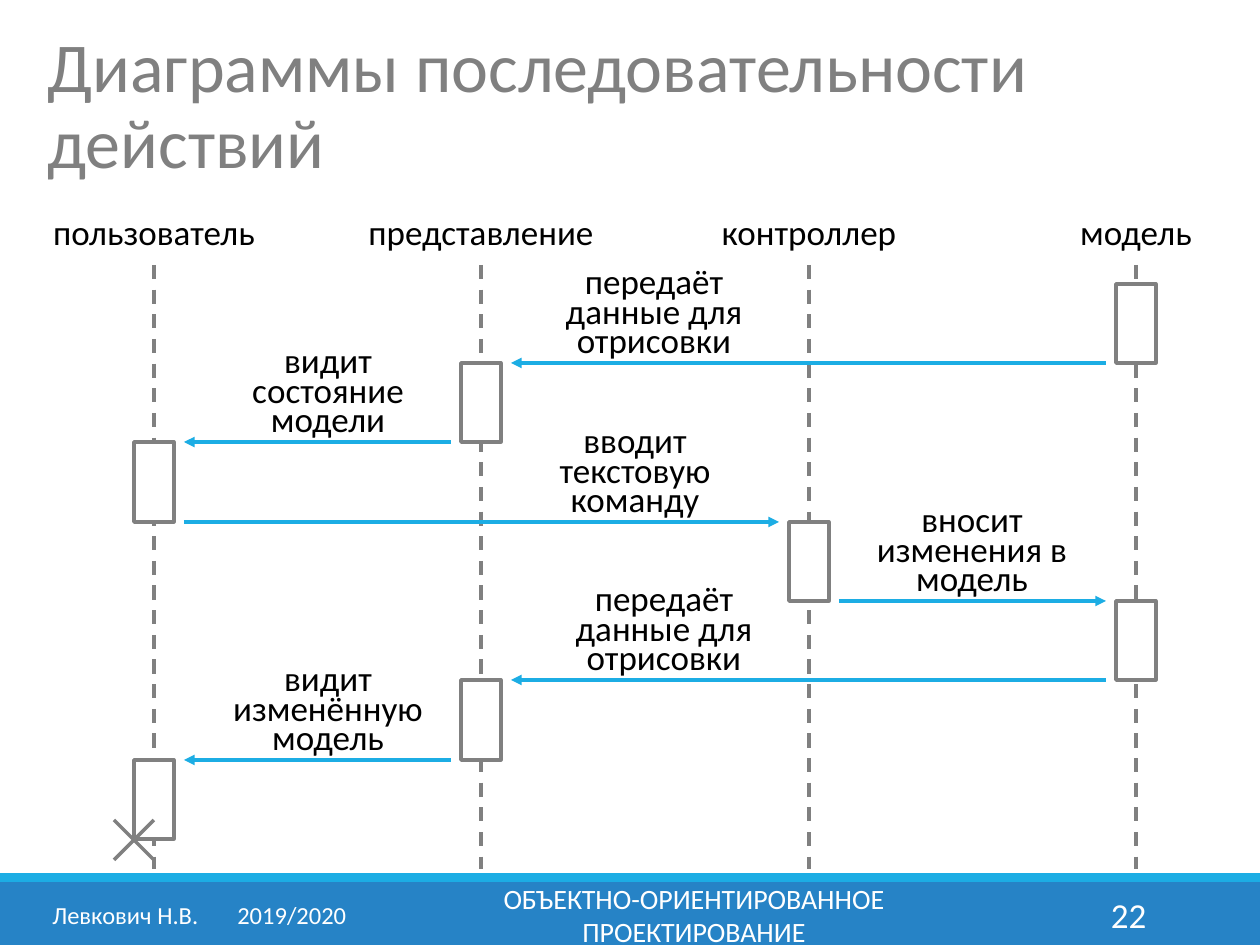
from dataclasses import dataclass

from lxml.etree import SubElement
from pptx import Presentation
from pptx.dml.color import RGBColor
from pptx.enum.dml import MSO_LINE
from pptx.enum.shapes import MSO_CONNECTOR, MSO_SHAPE
from pptx.enum.text import MSO_ANCHOR, MSO_AUTO_SIZE, PP_ALIGN
from pptx.oxml.ns import qn
from pptx.util import Emu, Pt


@dataclass(frozen=True)
class Theme:
    font: str = "Calibri"
    gray: RGBColor = RGBColor(0x80, 0x80, 0x80)
    accent: RGBColor = RGBColor(0x1C, 0xAD, 0xE4)
    footer: RGBColor = RGBColor(0x26, 0x83, 0xC6)
    white: RGBColor = RGBColor(0xFF, 0xFF, 0xFF)
    black: RGBColor = RGBColor(0, 0, 0)
    title_size: int = 40
    text_size: int = 20
    subject_size: int = 16
    author_size: int = 14
    stroke: int = 2


THEME = Theme()
SCALE = 914400 / 126
BAR_WIDTH = 40
LANE_TOP, LANE_BOTTOM = 265, 869
ARROW_GAP = 30

PARTICIPANTS = [
    (154, "пользователь", 238),
    (481, "представление", 260),
    (809, "контроллер", 238),
    (1136, "модель", 238),
]
ACTIVATIONS = [3, 1, 0, 2, 3, 1, 0]
MESSAGES = [
    (520, "передаёт данные для отрисовки"),
    (194, "видит состояние модели"),
    (501, "вводит текстовую команду"),
    (838, "вносит изменения в модель"),
    (530, "передаёт данные для отрисовки"),
    (194, "видит изменённую модель"),
]


def px(value):
    return Emu(round(value * SCALE))


def row_y(row):
    return round(283.5 + 79.4 * row)


def style_text(frame, text, size, color, align=PP_ALIGN.LEFT, spacing=None):
    frame.word_wrap = True
    frame.auto_size = MSO_AUTO_SIZE.NONE
    paragraph = frame.paragraphs[0]
    paragraph.text = text
    paragraph.alignment = align
    paragraph.line_spacing = spacing
    paragraph.font.name = THEME.font
    paragraph.font.size = Pt(size)
    paragraph.font.color.rgb = color
    return paragraph


def add_text(slide, box, text, size=THEME.text_size, color=THEME.black,
             align=PP_ALIGN.CENTER, spacing=None, anchor=MSO_ANCHOR.TOP):
    frame = slide.shapes.add_textbox(*map(px, box)).text_frame
    frame.vertical_anchor = anchor
    return style_text(frame, text, size, color, align, spacing)


def add_rect(slide, box, fill, outline=None):
    rect = slide.shapes.add_shape(MSO_SHAPE.RECTANGLE, *map(px, box))
    rect.shadow.inherit = False
    rect.fill.solid()
    rect.fill.fore_color.rgb = fill
    if outline is None:
        rect.line.fill.background()
    else:
        rect.line.color.rgb = outline
        rect.line.width = Pt(THEME.stroke)


def add_line(shapes, start, end, color=THEME.gray, dash=None, arrow=False):
    line = shapes.add_connector(MSO_CONNECTOR.STRAIGHT, *map(px, start + end))
    line.line.color.rgb = color
    line.line.width = Pt(THEME.stroke)
    if dash is not None:
        line.line.dash_style = dash
    properties = line.element.spPr
    if arrow:
        SubElement(properties.find(qn("a:ln")), qn("a:tailEnd"), type="triangle")
    SubElement(properties, qn("a:effectLst"))


def add_title(slide, text):
    title = slide.shapes.title
    title.left, title.top, title.width, title.height = map(px, (35, 26, 1211, 165))
    title.text_frame.vertical_anchor = MSO_ANCHOR.TOP
    style_text(title.text_frame, text, THEME.title_size, THEME.gray, spacing=0.9)


def add_footer(slide):
    add_rect(slide, (0, 882, 1260, 63), THEME.footer)
    add_rect(slide, (0, 873, 1260, 9), THEME.accent)
    common = {"color": THEME.white, "anchor": MSO_ANCHOR.MIDDLE}
    author = add_text(slide, (40, 890, 329, 50), "Левкович Н.В.\t2019/2020",
                      THEME.author_size, align=PP_ALIGN.LEFT, **common)
    tabs = SubElement(author._p.get_or_add_pPr(), qn("a:tabLst"))
    SubElement(tabs, qn("a:tab"), pos=str(px(185)), algn="l")
    add_text(slide, (381, 890, 626, 50), "ОБЪЕКТНО-ОРИЕНТИРОВАННОЕ ПРОЕКТИРОВАНИЕ",
             THEME.subject_size, **common)
    add_text(slide, (1023, 890, 136, 50), "22", align=PP_ALIGN.RIGHT, **common)


def add_participant(slide, x, name, width):
    add_text(slide, (x - width // 2, 204, width, 55), name)
    add_line(slide.shapes, (x, LANE_TOP), (x, LANE_BOTTOM), dash=MSO_LINE.DASH)


def add_activation(slide, row, lane):
    x, y = PARTICIPANTS[lane][0], row_y(row)
    add_rect(slide, (x - BAR_WIDTH // 2, y, BAR_WIDTH, row_y(row + 1) - y),
             THEME.white, THEME.gray)


def add_message(slide, row, label_x, text):
    sender, receiver = (PARTICIPANTS[lane][0] for lane in ACTIVATIONS[row:row + 2])
    y = row_y(row + 1)
    gap = ARROW_GAP if receiver > sender else -ARROW_GAP
    add_text(slide, (label_x, y - 98, 268, 103), text, spacing=0.7)
    add_line(slide.shapes, (sender + gap, y), (receiver - gap, y),
             THEME.accent, arrow=True)


def add_destruction(slide, left, top, size):
    cross = slide.shapes.add_group_shape().shapes
    right, bottom = left + size, top + size
    add_line(cross, (left, top), (right, bottom))
    add_line(cross, (right, top), (left, bottom))


def main():
    presentation = Presentation()
    presentation.slide_width, presentation.slide_height = px(1260), px(945)
    slide = presentation.slides.add_slide(presentation.slide_layouts[5])
    add_title(slide, "Диаграммы последовательности действий")
    add_footer(slide)
    for participant in PARTICIPANTS:
        add_participant(slide, *participant)
    for row, lane in enumerate(ACTIVATIONS):
        add_activation(slide, row, lane)
    for row, message in enumerate(MESSAGES):
        add_message(slide, row, *message)
    add_destruction(slide, 114, 820, 40)
    presentation.save("out.pptx")


main()
